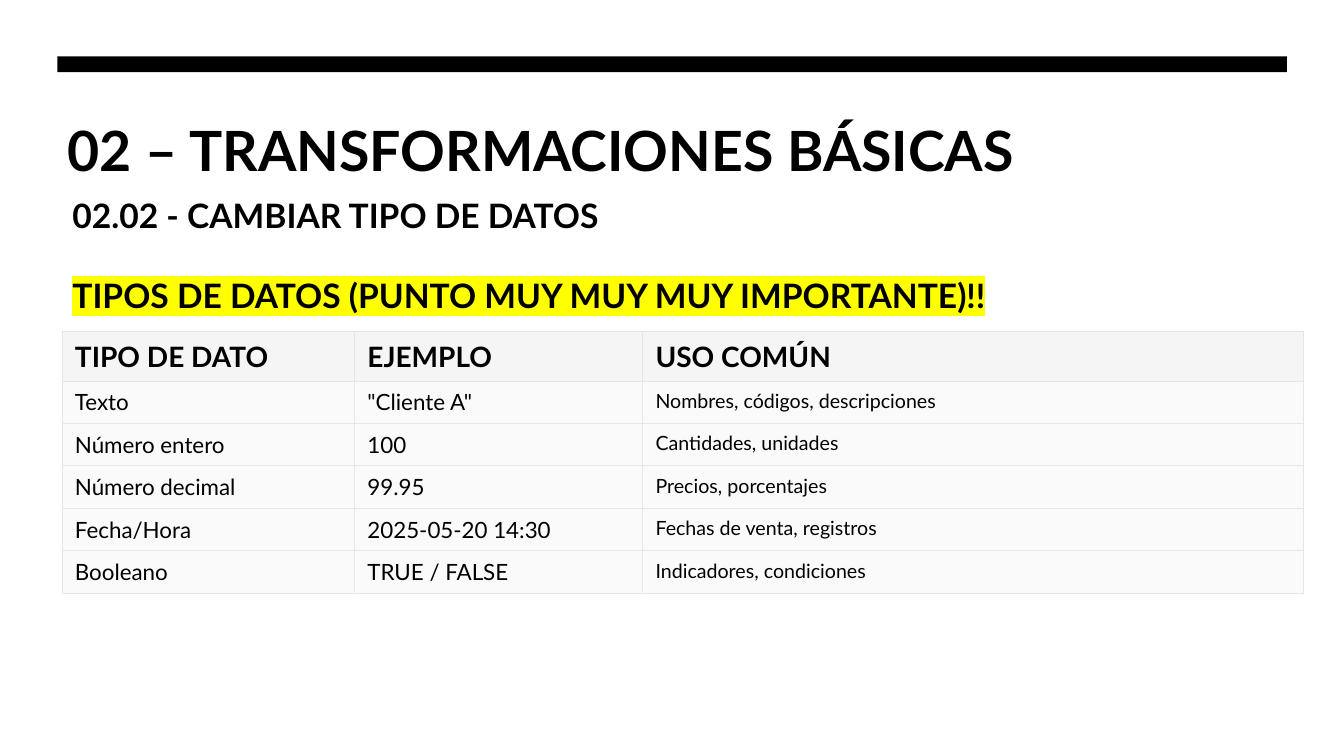
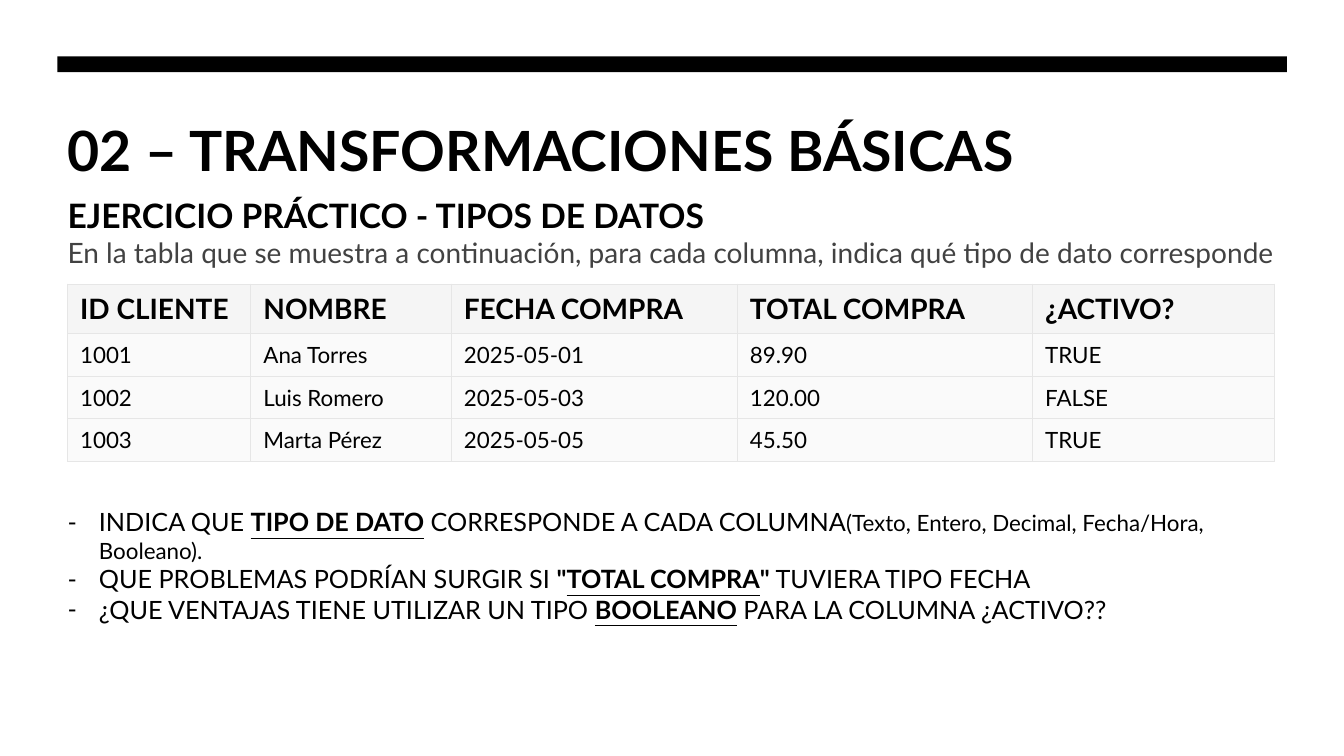
from dataclasses import dataclass
from typing import Optional

from lxml.etree import SubElement
from pptx import Presentation
from pptx.dml.color import RGBColor
from pptx.enum.shapes import MSO_SHAPE
from pptx.enum.text import MSO_ANCHOR, MSO_AUTO_SIZE, PP_ALIGN
from pptx.oxml.ns import qn
from pptx.util import Cm, Pt


# Theme: colours, font and type sizes
@dataclass(frozen=True)
class Theme:
    font: str = "Lato"
    ink: str = "000000"
    soft: str = "424242"
    mark: str = "FFFF00"
    rule: str = "E6E6E6"
    head: str = "F5F5F5"
    cell: str = "FAFAFA"
    title: float = 39.6
    sub: float = 24
    lead: float = 20
    item: float = 18
    text: float = 16
    note: float = 14


THEME = Theme()
LEFT, WIDE = 1.45, 30.98
TITLE = "02 – TRANSFORMACIONES BÁSICAS"


@dataclass(frozen=True)
class Bit:
    text: str
    bold: Optional[bool] = None
    under: Optional[bool] = None
    size: Optional[float] = None
    mark: bool = False


@dataclass(frozen=True)
class Line:
    bits: tuple[Bit, ...]
    size: float
    bold: bool = False
    color: str = THEME.ink
    gap: float = 0
    dash: bool = False


@dataclass(frozen=True)
class Box:
    left: float
    top: float
    width: float
    height: float


@dataclass(frozen=True)
class Grid:
    left: float
    top: float
    cols: tuple[float, ...]
    sizes: tuple[float, ...]
    rows: tuple[tuple[str, ...], ...]


@dataclass(frozen=True)
class Page:
    box: Box
    lines: tuple[Line, ...]
    grid: Grid


def sub(text: str, gap: float = 0, mark: bool = False) -> Line:
    return Line((Bit(text, mark=mark),), THEME.sub, bold=True, gap=gap)


def item(*bits: Bit, gap: float = 0) -> Line:
    return Line(bits, THEME.item, gap=gap, dash=True)


def key(text: str) -> Bit:
    return Bit(text, bold=True, under=True)


# Content
PAGES = (
    Page(
        Box(1.57, 4.78, 30.86, 9.5),
        (
            sub("02.02 - CAMBIAR TIPO DE DATOS"),
            sub("TIPOS DE DATOS (PUNTO MUY MUY MUY IMPORTANTE)!!",
                gap=28.8, mark=True),
        ),
        Grid(
            1.57, 8.35, (7.37, 7.26, 16.66),
            (THEME.text, THEME.text, THEME.note),
            (
                ("TIPO DE DATO", "EJEMPLO", "USO COMÚN"),
                ("Texto", '"Cliente A"', "Nombres, códigos, descripciones"),
                ("Número entero", "100", "Cantidades, unidades"),
                ("Número decimal", "99.95", "Precios, porcentajes"),
                ("Fecha/Hora", "2025-05-20 14:30",
                 "Fechas de venta, registros"),
                ("Booleano", "TRUE / FALSE", "Indicadores, condiciones"),
            ),
        ),
    ),
    Page(
        Box(LEFT, 4.78, WIDE, 12.07),
        (
            sub("EJERCICIO PRÁCTICO - TIPOS DE DATOS"),
            Line((Bit("En la tabla que se muestra a continuación, para cada "
                      "columna, indica qué tipo de dato corresponde"),),
                 THEME.lead, color=THEME.soft),
            item(Bit("INDICA QUE "), key("TIPO DE DATO"),
                 Bit(" CORRESPONDE A CADA COLUMNA"),
                 Bit("(Texto, Entero, Decimal, Fecha/Hora, Booleano).",
                     size=THEME.text),
                 gap=170),
            item(Bit("QUE PROBLEMAS PODRÍAN SURGIR SI "), Bit('"', bold=True),
                 key("TOTAL COMPRA"), Bit('"', bold=True),
                 Bit(" TUVIERA TIPO FECHA")),
            item(Bit("¿QUE VENTAJAS TIENE UTILIZAR UN TIPO "), key("BOOLEANO"),
                 Bit(" PARA LA COLUMNA ¿ACTIVO??")),
        ),
        Grid(
            1.7, 7.16, (4.62, 5.05, 7.21, 7.44, 6.1), (THEME.text,) * 5,
            (
                ("ID CLIENTE", "NOMBRE", "FECHA COMPRA", "TOTAL COMPRA",
                 "¿ACTIVO?"),
                ("1001", "Ana Torres", "2025-05-01", "89.90", "TRUE"),
                ("1002", "Luis Romero", "2025-05-03", "120.00", "FALSE"),
                ("1003", "Marta Pérez", "2025-05-05", "45.50", "TRUE"),
            ),
        ),
    ),
)


# Text helpers
def rgb(color: str) -> RGBColor:
    return RGBColor.from_string(color)


def style(para, size: float, bold: bool, color: str = THEME.ink) -> None:
    para.alignment = PP_ALIGN.LEFT
    para.line_spacing = 1.0
    para.space_before = para.space_after = Pt(0)
    font = para.font
    font.name, font.size, font.bold = THEME.font, Pt(size), bold
    font.color.rgb = rgb(color)


def place(shape, box: Box, anchor: MSO_ANCHOR) -> None:
    shape.left, shape.top = Cm(box.left), Cm(box.top)
    shape.width, shape.height = Cm(box.width), Cm(box.height)
    frame = shape.text_frame
    frame.auto_size = MSO_AUTO_SIZE.NONE
    frame.word_wrap = True
    frame.vertical_anchor = anchor


def bullet(para, dash: bool) -> None:
    props = para._p.get_or_add_pPr()
    indent = Cm(0.79) if dash else 0
    props.set("marL", str(indent))
    props.set("indent", str(-indent))
    if dash:
        SubElement(props, qn("a:buFont")).set("typeface", THEME.font)
        SubElement(props, qn("a:buChar")).set("char", "-")
    else:
        SubElement(props, qn("a:buNone"))


def write(para, line: Line) -> None:
    bullet(para, line.dash)
    style(para, line.size, line.bold, line.color)
    para.space_before = Pt(line.gap)
    for bit in line.bits:
        run = para.add_run()
        run.text = bit.text
        run.font.bold, run.font.underline = bit.bold, bit.under
        if bit.size:
            run.font.size = Pt(bit.size)
        if bit.mark:
            light = SubElement(run._r.get_or_add_rPr(), qn("a:highlight"))
            SubElement(light, qn("a:srgbClr")).set("val", THEME.mark)


# Slide parts
def add_band(slide, layout) -> None:
    band = slide.shapes.add_shape(
        MSO_SHAPE.RECTANGLE, Cm(LEFT), Cm(1.42), Cm(WIDE), Cm(0.4))
    band.shadow.inherit = False
    band.fill.solid()
    band.fill.fore_color.rgb = rgb(THEME.ink)
    band.line.fill.background()
    # The layout holds the band for every slide
    layout.shapes.element.append(band.element)


def add_title(slide) -> None:
    title = slide.shapes.title
    place(title, Box(LEFT, 2.72, WIDE, 2.08), MSO_ANCHOR.MIDDLE)
    title.text_frame.text = TITLE
    style(title.text_frame.paragraphs[0], THEME.title, True)


def add_body(slide, page: Page) -> None:
    body = slide.placeholders[1]
    place(body, page.box, MSO_ANCHOR.TOP)
    frame = body.text_frame
    for i, line in enumerate(page.lines):
        write(frame.add_paragraph() if i else frame.paragraphs[0], line)


def border(cell) -> None:
    props = cell._tc.get_or_add_tcPr()
    for side in ("lnL", "lnR", "lnT", "lnB"):
        edge = SubElement(props, qn(f"a:{side}"))
        edge.set("w", str(Pt(0.75)))
        fill = SubElement(edge, qn("a:solidFill"))
        SubElement(fill, qn("a:srgbClr")).set("val", THEME.rule)


def add_grid(slide, grid: Grid) -> None:
    tall = [1.25] + [1.07] * (len(grid.rows) - 1)
    table = slide.shapes.add_table(
        len(grid.rows), len(grid.cols), Cm(grid.left), Cm(grid.top),
        Cm(sum(grid.cols)), Cm(sum(tall))).table
    table.first_row = table.horz_banding = False
    for col, width in zip(table.columns, grid.cols):
        col.width = Cm(width)
    for r, texts in enumerate(grid.rows):
        table.rows[r].height = Cm(tall[r])
        top = r == 0
        for c, text in enumerate(texts):
            cell = table.cell(r, c)
            cell.margin_left, cell.margin_right = Cm(0.32), Cm(0.2)
            cell.margin_top, cell.margin_bottom = Cm(0.2), Cm(0.18)
            border(cell)
            cell.fill.solid()
            cell.fill.fore_color.rgb = rgb(THEME.head if top else THEME.cell)
            cell.text = text
            style(cell.text_frame.paragraphs[0],
                  THEME.lead if top else grid.sizes[c], top)


def main() -> None:
    deck = Presentation()
    deck.slide_width, deck.slide_height = Cm(33.87), Cm(19.05)
    layout = deck.slide_layouts[1]
    for i, page in enumerate(PAGES):
        slide = deck.slides.add_slide(layout)
        if i == 0:
            add_band(slide, layout)
        add_title(slide)
        add_body(slide, page)
        add_grid(slide, page.grid)
    deck.save("out.pptx")


if __name__ == "__main__":
    main()
